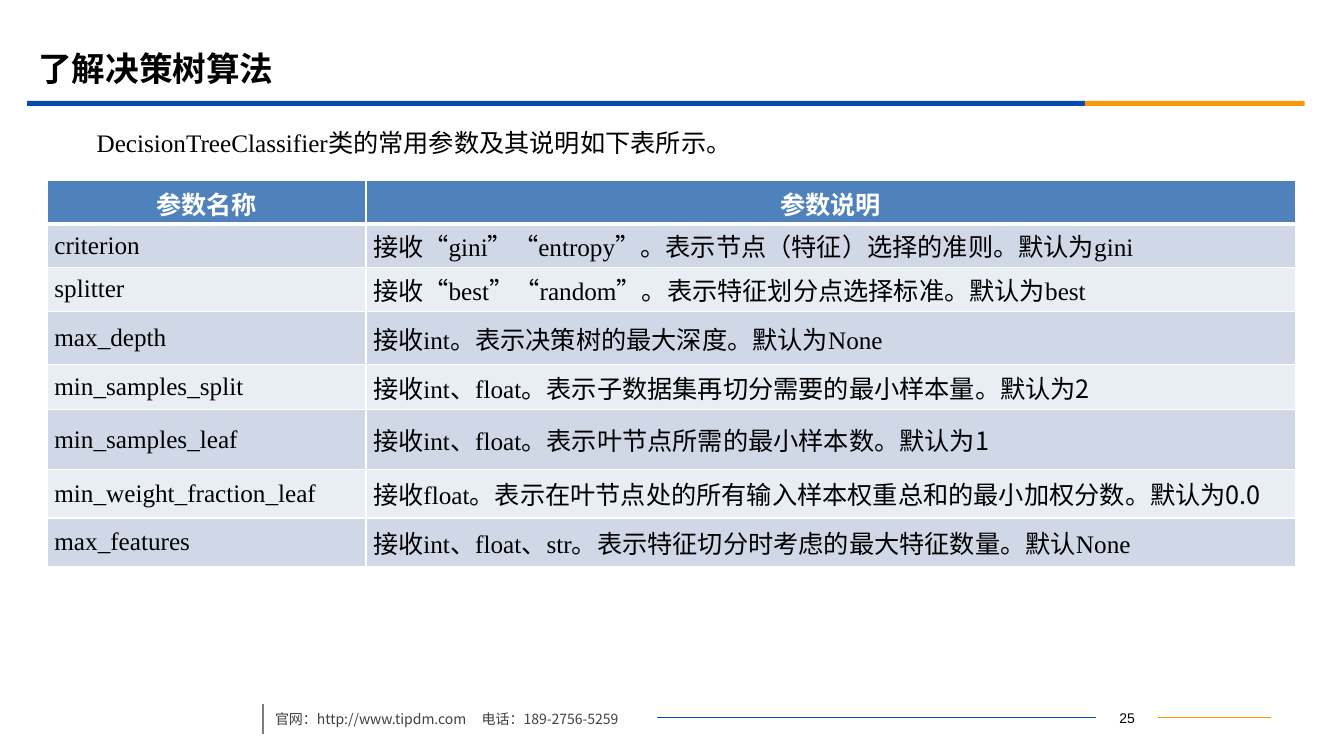
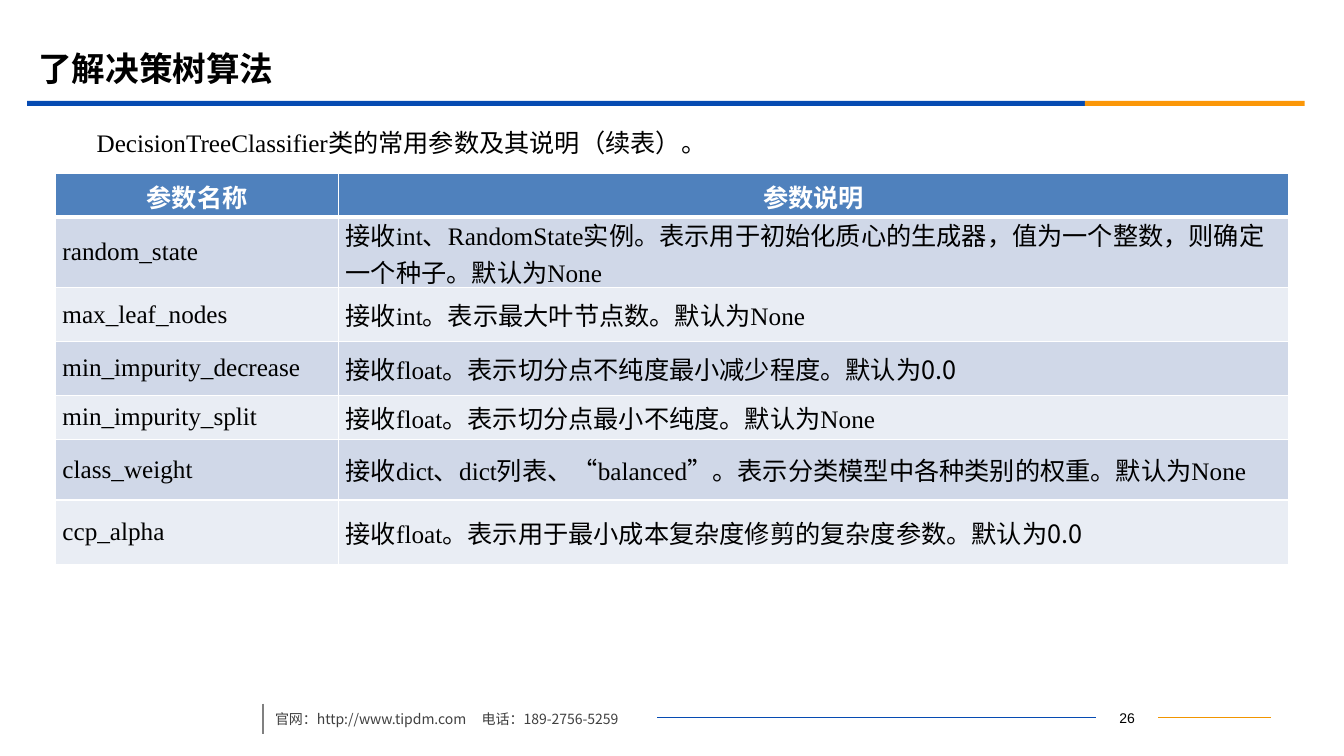
"""Build two slides that list the parameters of DecisionTreeClassifier."""
from itertools import groupby

from lxml import etree
from pptx import Presentation
from pptx import util as u
from pptx.dml.color import RGBColor
from pptx.enum import shapes, text
from pptx.oxml import ns, parse_xml

BLUE = RGBColor(0x06, 0x4B, 0xB2)
ORANGE = RGBColor(0xFB, 0x97, 0x08)
AMBER = RGBColor(0xF1, 0x95, 0x00)
GRAY = RGBColor(0x80, 0x80, 0x80)
DARK = RGBColor(0x40, 0x40, 0x40)
BLACK = RGBColor(0, 0, 0)
WHITE = RGBColor(0xFF, 0xFF, 0xFF)
HEADER = RGBColor(0x4F, 0x81, 0xBD)
STRIPES = [RGBColor(0xD0, 0xD8, 0xE8), RGBColor(0xE9, 0xED, 0xF4)]
LATIN, CHINESE = "Times New Roman", "Noto Sans CJK SC"

TITLE = "了解决策树算法"
FOOTER = "官网：http://www.tipdm.com\t电话：189-2756-5259"
FIRST_NUMBER = 25
HEADINGS = ("参数名称", "参数说明")
BANDS = [(0.27, 10.49, BLUE), (10.76, 2.18, ORANGE)]
RULES = [
    (11.49, 7.12, 12.61, 7.12, AMBER, 0.75),
    (6.52, 7.12, 10.87, 7.12, BLUE, 0.75),
    (2.61, 6.98, 2.61, 7.28, GRAY, 1.25),
]
SLIDES = [
    {
        "intro": "DecisionTreeClassifier类的常用参数及其说明如下表所示。",
        "corner": (0.47, 1.79),
        "columns": (3.16, 9.22),
        "heights": (0.43, 0.43, 0.44, 0.53, 0.44, 0.6, 0.48, 0.48),
        "rows": [
            ("criterion", "接收“gini”“entropy”。表示节点（特征）选择的准则。默认为gini"),
            ("splitter", "接收“best”“random”。表示特征划分点选择标准。默认为best"),
            ("max_depth", "接收int。表示决策树的最大深度。默认为None"),
            ("min_samples_split", "接收int、float。表示子数据集再切分需要的最小样本量。默认为2"),
            ("min_samples_leaf", "接收int、float。表示叶节点所需的最小样本数。默认为1"),
            ("min_weight_fraction_leaf",
             "接收float。表示在叶节点处的所有输入样本权重总和的最小加权分数。默认为0.0"),
            ("max_features", "接收int、float、str。表示特征切分时考虑的最大特征数量。默认None"),
        ],
    },
    {
        "intro": "DecisionTreeClassifier类的常用参数及其说明（续表）。",
        "corner": (0.55, 1.72),
        "columns": (2.81, 9.42),
        "heights": (0.43, 0.7, 0.54, 0.53, 0.44, 0.53, 0.64),
        "rows": [
            ("random_state",
             "接收int、RandomState实例。表示用于初始化质心的生成器，值为一个整数，则确定一个种子。默认为None"),
            ("max_leaf_nodes", "接收int。表示最大叶节点数。默认为None"),
            ("min_impurity_decrease", "接收float。表示切分点不纯度最小减少程度。默认为0.0"),
            ("min_impurity_split", "接收float。表示切分点最小不纯度。默认为None"),
            ("class_weight", "接收dict、dict列表、“balanced”。表示分类模型中各种类别的权重。默认为None"),
            ("ccp_alpha", "接收float。表示用于最小成本复杂度修剪的复杂度参数。默认为0.0"),
        ],
    },
]


def inches(*values):
    return [u.Inches(value) for value in values]


def style(para, size, name, color, bold=False):
    font = para.font
    font.size, font.name, font.bold = u.Pt(size), name, bold
    font.color.rgb = color
    properties = para._p.get_or_add_pPr().get_or_add_defRPr()
    etree.SubElement(properties, ns.qn("a:ea"), typeface=CHINESE)


def add_text(page, place):
    box = page.shapes.add_textbox(*inches(*place))
    box.text_frame.word_wrap = True
    return box.text_frame.paragraphs[0]


def add_frame(page):
    for left, width, color in BANDS:
        band = page.shapes.add_shape(
            shapes.MSO_SHAPE.RECTANGLE, *inches(left, 1, width, 0.05))
        band.shadow.inherit = False
        band.fill.solid()
        band.fill.fore_color.rgb = color
        band.line.fill.background()
    for *ends, color, weight in RULES:
        rule = page.shapes.add_connector(
            shapes.MSO_CONNECTOR.STRAIGHT, *inches(*ends))
        rule.line.color.rgb = color
        rule.line.width = u.Pt(weight)
        etree.SubElement(rule._element.spPr, ns.qn("a:effectLst"))

    contact = add_text(page, (2.63, 6.92, 5.36, 0.35))
    contact.add_run().text = FOOTER
    tabs = etree.SubElement(contact._p.get_or_add_pPr(), ns.qn("a:tabLst"))
    etree.SubElement(tabs, ns.qn("a:tab"), pos=str(u.Inches(2.05)), algn="l")
    contact.line_spacing = 1.5
    style(contact, 10, CHINESE, DARK)


def add_number(page, number):
    para = add_text(page, (10.87, 6.99, 0.62, 0.25))
    para.alignment = text.PP_ALIGN.CENTER
    style(para, 10, "Arial", BLACK)
    para._p.append(parse_xml(
        f'<a:fld {ns.nsdecls("a")} id="{{B6F15528-21DE-4FAA-801E-634DDDAF4B2B}}" '
        'type="slidenum"><a:rPr lang="en-US" sz="1000"><a:latin typeface="Arial"/>'
        f'</a:rPr><a:t>{number}</a:t></a:fld>'))


def add_title(page):
    title = page.shapes.title
    title.left, title.top, title.width, title.height = inches(0.28, 0.39, 12, 0.58)
    title.text_frame.text = TITLE
    title.text_frame.vertical_anchor = text.MSO_ANCHOR.MIDDLE
    para = title.text_frame.paragraphs[0]
    para.alignment = text.PP_ALIGN.LEFT
    style(para, 24, LATIN, BLACK, bold=True)


def add_intro(page, words):
    para = add_text(page, (0.46, 1.06, 12.15, 0.6))
    para.add_run().text = words
    para._p.get_or_add_pPr().set("marL", str(u.Inches(0.4)))
    para.line_spacing = 1.5
    style(para, 18, LATIN, BLACK)


def set_borders(cell, row):
    weights = {"L": 1, "R": 1, "T": 3 if row == 1 else 1, "B": 3 if row == 0 else 1}
    properties = cell._tc.get_or_add_tcPr()
    for side, weight in weights.items():
        properties.append(parse_xml(
            f'<a:ln{side} {ns.nsdecls("a")} w="{u.Pt(weight)}"><a:solidFill>'
            f'<a:srgbClr val="{WHITE}"/></a:solidFill></a:ln{side}>'))


def fill_cell(cell, words, row, column):
    set_borders(cell, row)
    cell.fill.solid()
    cell.fill.fore_color.rgb = STRIPES[(row - 1) % 2] if row else HEADER
    para = cell.text_frame.paragraphs[0]
    if row == 0:
        para.add_run().text = words
        para.alignment = text.PP_ALIGN.CENTER
        style(para, 18, "Calibri", WHITE, bold=True)
        return
    cell.vertical_anchor = text.MSO_ANCHOR.MIDDLE
    cell.margin_left = cell.margin_right = u.Inches(0.07)
    cell.margin_top = cell.margin_bottom = 0
    if column == 0:
        para.add_run().text = words
        style(para, 18, LATIN, BLACK)
        return
    style(para, 18, CHINESE, BLACK)
    for is_latin, letters in groupby(words, lambda c: c.isascii() and c.isalpha()):
        span = para.add_run()
        span.text = "".join(letters)
        if is_latin:
            span.font.name = LATIN


def add_parameters(page, content):
    rows = [HEADINGS, *content["rows"]]
    columns, heights = content["columns"], content["heights"]
    place = inches(*content["corner"], sum(columns), sum(heights))
    table = page.shapes.add_table(len(rows), len(columns), *place).table
    table.horz_banding = False
    for column, width in zip(table.columns, columns):
        column.width = u.Inches(width)
    for index, (row, height) in enumerate(zip(rows, heights)):
        table.rows[index].height = u.Inches(height)
        for column, words in enumerate(row):
            fill_cell(table.cell(index, column), words, index, column)


def main():
    deck = Presentation()
    deck.slide_width, deck.slide_height = inches(13.33, 7.5)
    deck.element.set("firstSlideNum", str(FIRST_NUMBER))
    for number, content in enumerate(SLIDES, FIRST_NUMBER):
        page = deck.slides.add_slide(deck.slide_layouts.get_by_name("Title Only"))
        add_frame(page)
        add_number(page, number)
        add_title(page)
        add_intro(page, content["intro"])
        add_parameters(page, content)
    deck.save("out.pptx")


if __name__ == "__main__":
    main()
